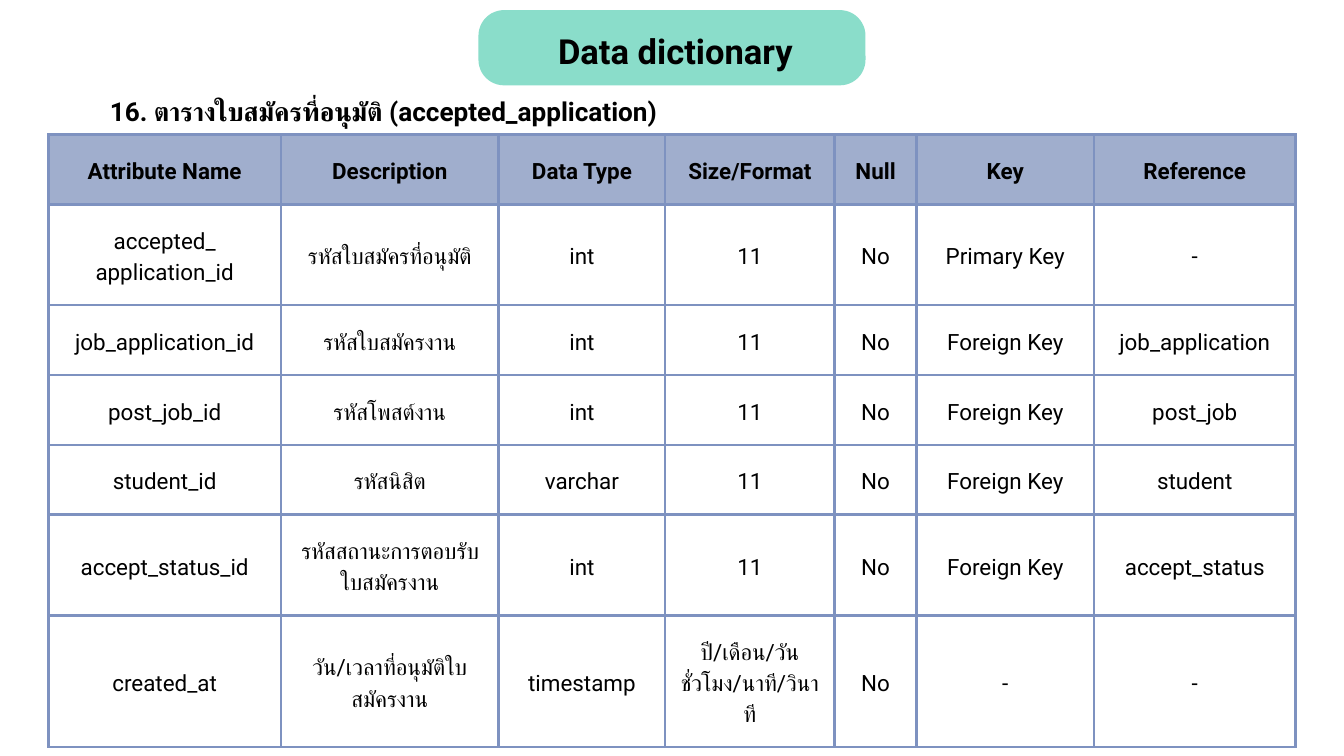
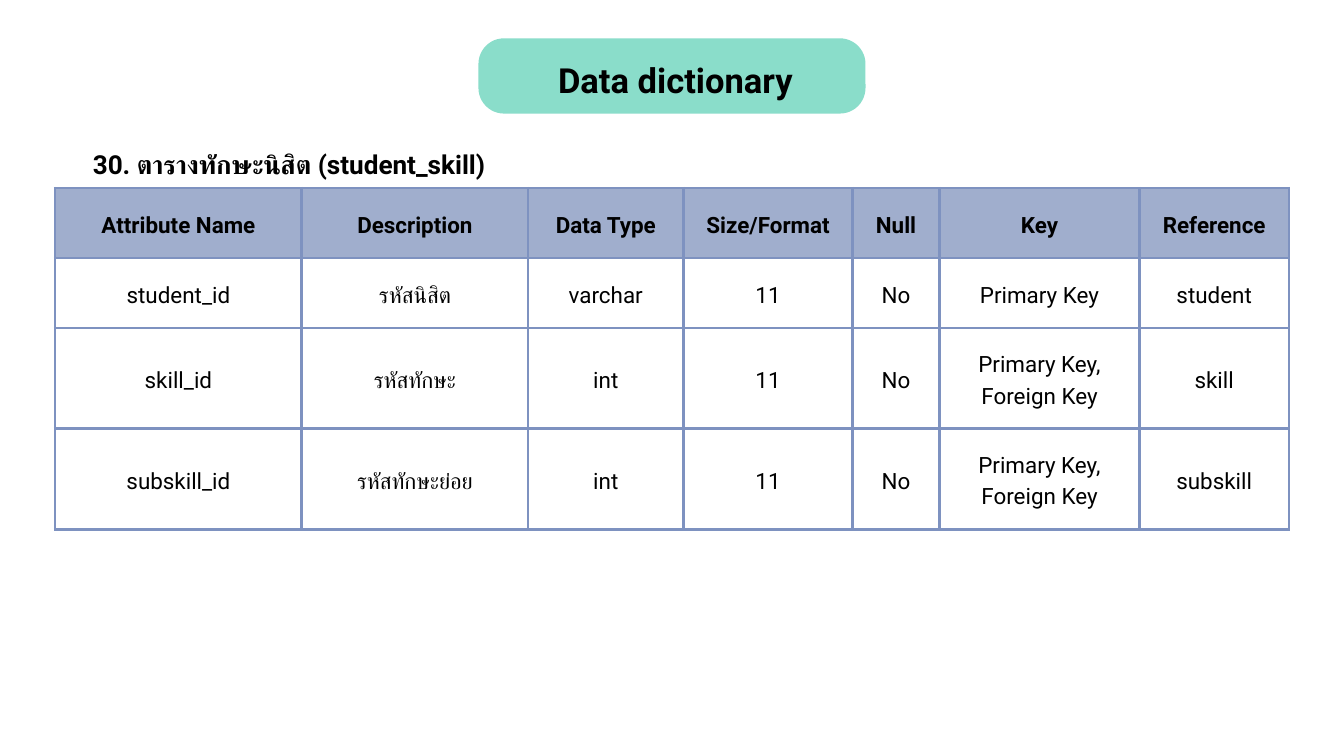
import pptx
import pptx.dml.color
import pptx.enum.shapes
import pptx.enum.text
import pptx.oxml
import pptx.oxml.ns
import pptx.util

PX = 9144  # 100 px to the inch
FONT = "Roboto"
INK, MINT, HEADER, BORDER = "000000", "8ADDCA", "A0AECD", "7E92C0"
BORDER_PT = 3
CELL_INSET = 21
COLUMNS = ["Attribute Name", "Description", "Data Type", "Size/Format",
           "Null", "Key", "Reference"]
ONE_LINE, TWO_LINES, THREE_LINES = 104, 150, 196

APPLICATION_ROWS = [
    ["accepted_\napplication_id", "รหัสใบสมัครที่อนุมัติ", "int", "11", "No", "Primary Key", "-"],
    ["job_application_id", "รหัสใบสมัครงาน", "int", "11", "No", "Foreign Key", "job_application"],
    ["post_job_id", "รหัสโพสต์งาน", "int", "11", "No", "Foreign Key", "post_job"],
    ["student_id", "รหัสนิสิต", "varchar", "11", "No", "Foreign Key", "student"],
    ["accept_status_id", "รหัสสถานะการตอบรับใบสมัครงาน", "int", "11", "No", "Foreign Key",
     "accept_status"],
    ["created_at", "วัน/เวลาที่อนุมัติใบสมัครงาน", "timestamp",
     "ปี/เดือน/วัน ชั่วโมง/นาที/วินาที", "No", "-", "-"],
]
SKILL_ROWS = [
    ["student_id", "รหัสนิสิต", "varchar", "11", "No", "Primary Key", "student"],
    ["skill_id", "รหัสทักษะ", "int", "11", "No", "Primary Key,\nForeign Key", "skill"],
    ["subskill_id", "รหัสทักษะย่อย", "int", "11", "No", "Primary Key,\nForeign Key", "subskill"],
]


def px(*lengths):
    return [pptx.util.Emu(n * PX) for n in lengths]


def rgb(color):
    return pptx.dml.color.RGBColor.from_string(color)


def style_text(tf, size, line_pt, bold):
    """Centre every paragraph and set its font for Latin and Thai script."""
    for p in tf.paragraphs:
        p.alignment = pptx.enum.text.PP_ALIGN.CENTER
        p.line_spacing = pptx.util.Pt(line_pt)
        p.font.size = pptx.util.Pt(size)
        p.font.bold = bold
        p.font.color.rgb = rgb(INK)
        p.font.name = FONT
        props = p._p.get_or_add_pPr().get_or_add_defRPr()
        props.append(pptx.oxml.parse_xml(
            f'<a:cs {pptx.oxml.ns.nsdecls("a")} typeface="{FONT}"/>'))


def add_text(shapes, box, text, size, line_pt):
    tf = shapes.add_textbox(*px(*box)).text_frame
    tf.margin_left = tf.margin_top = tf.margin_right = tf.margin_bottom = 0
    tf.word_wrap = True
    tf.auto_size = pptx.enum.text.MSO_AUTO_SIZE.SHAPE_TO_FIT_TEXT
    tf.text = text
    style_text(tf, size, line_pt, True)


def add_title_badge(slide, left, top, width, height):
    shapes = slide.shapes.add_group_shape().shapes
    sp = shapes.add_shape(pptx.enum.shapes.MSO_SHAPE.ROUNDED_RECTANGLE,
                          *px(left, top, width, height))
    sp.adjustments[0] = 0.34
    sp.shadow.inherit = False
    sp.fill.solid()
    sp.fill.fore_color.rgb = rgb(MINT)
    sp.line.fill.background()
    add_text(shapes, (left + 91, top + 20, width - 172, 67), "Data dictionary", 37, 51.7)


def add_borders(cell):
    tc_pr = cell._tc.get_or_add_tcPr()
    for i, side in enumerate("LRTB"):
        tc_pr.insert(i, pptx.oxml.parse_xml(
            f'<a:ln{side} {pptx.oxml.ns.nsdecls("a")} w="{pptx.util.Pt(BORDER_PT)}">'
            f'<a:solidFill><a:srgbClr val="{BORDER}"/></a:solidFill></a:ln{side}>'))


def fill_cell(cell, text, is_header):
    cell.text = text
    cell.vertical_anchor = pptx.enum.text.MSO_ANCHOR.MIDDLE
    inset, = px(CELL_INSET)
    cell.margin_left = cell.margin_top = cell.margin_right = cell.margin_bottom = inset
    style_text(cell.text_frame, 24, 33.6, is_header)
    add_borders(cell)
    if is_header:
        cell.fill.solid()
        cell.fill.fore_color.rgb = rgb(HEADER)
    else:
        cell.fill.background()


def add_dictionary_table(slide, left, top, widths, heights, rows):
    table = slide.shapes.add_table(
        len(heights), len(widths), *px(left, top, sum(widths), sum(heights))).table
    table.first_row = table.horz_banding = False
    for column, width in zip(table.columns, px(*widths)):
        column.width = width
    for row, height in zip(table.rows, px(*heights)):
        row.height = height
    for r, values in enumerate([COLUMNS] + rows):
        for c, text in enumerate(values):
            fill_cell(table.cell(r, c), text, r == 0)


def add_dictionary_slide(prs, badge_top, caption, caption_box, left, top, widths, heights, rows):
    slide = prs.slides.add_slide(prs.slide_layouts[6])
    add_dictionary_table(slide, left, top, widths, heights, rows)
    add_title_badge(slide, 712, badge_top, 576, 112)
    add_text(slide.shapes, caption_box, caption, 28, 39.2)


def main():
    prs = pptx.Presentation()
    prs.slide_width, prs.slide_height = px(2000, 1125)
    add_dictionary_slide(
        prs, 15, "16. ตารางใบสมัครที่อนุมัติ (accepted_application)", (0, 134, 1141, 53),
        72, 200, [346, 324, 248, 252, 122, 264, 300],
        [ONE_LINE, TWO_LINES, ONE_LINE, ONE_LINE, ONE_LINE, TWO_LINES, THREE_LINES],
        APPLICATION_ROWS)
    add_dictionary_slide(
        prs, 57, "30. ตารางทักษะนิสิต (student_skill)", (0, 213, 860, 53),
        82, 280, [367, 337, 231, 252, 129, 298, 222],
        [ONE_LINE, ONE_LINE, TWO_LINES, TWO_LINES], SKILL_ROWS)
    prs.save("out.pptx")


if __name__ == "__main__":
    main()
